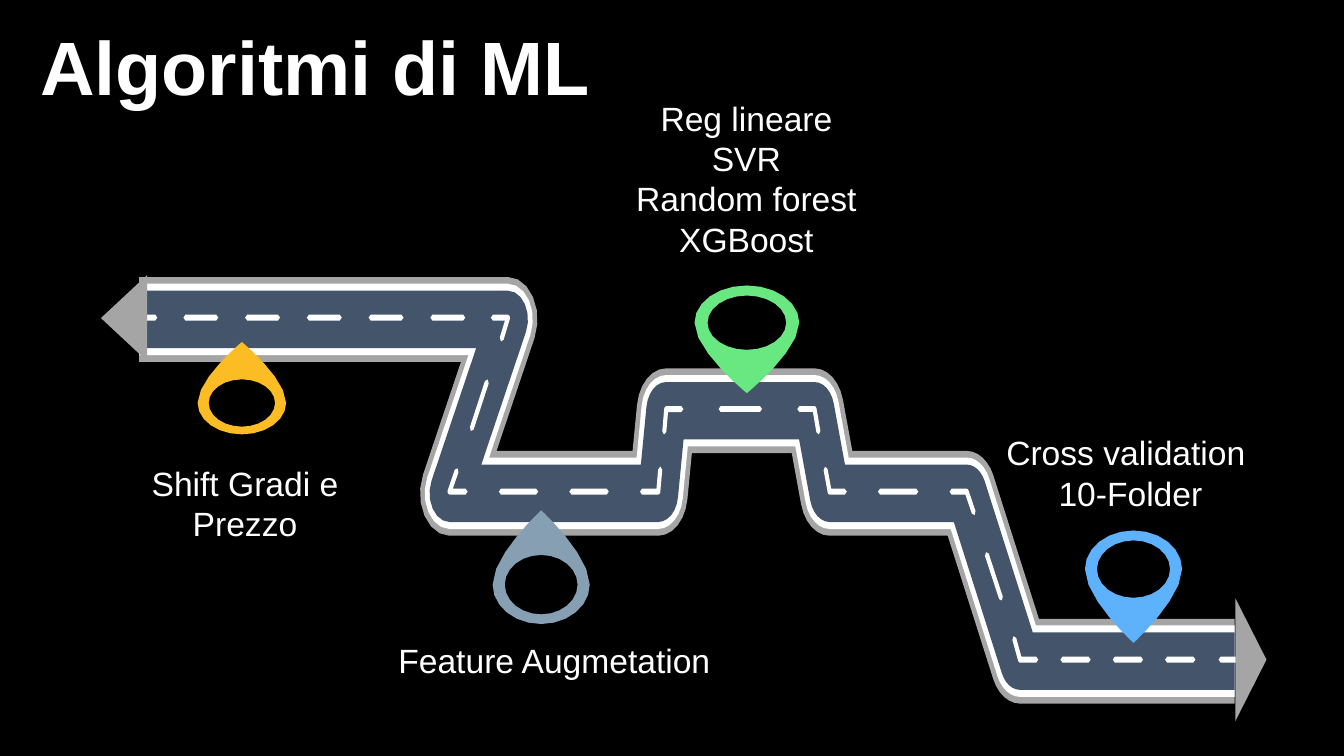
from math import atan2, cos, pi, sin

from pptx import Presentation
from pptx.dml.color import RGBColor
from pptx.enum import shapes, text
from pptx.util import Pt

# Colours and font
BLACK = RGBColor(0, 0, 0)
WHITE = RGBColor(255, 255, 255)
KERB = RGBColor(0xA5, 0xA5, 0xA5)
ASPHALT = RGBColor(0x44, 0x54, 0x6A)
GREEN = RGBColor(0x69, 0xE7, 0x81)
BLUE = RGBColor(0x5E, 0xB2, 0xFC)
AMBER = RGBColor(0xFC, 0xBD, 0x24)
STEEL = RGBColor(0x86, 0x9F, 0xB2)
FONT = "Arial"

# Labels: lines, (left, top, width, height), format
LABELS = [
    (["Algoritmi di ML"], (21.6, 10.8, 437, 72.7),
     dict(size=54, bold=True, align=text.PP_ALIGN.LEFT)),
    (["Shift Gradi e Prezzo"], (67.7, 326.9, 214.6, 36), {}),
    (["Feature Augmetation"], (266.4, 453.6, 259.2, 36), {}),
    (["Reg lineare", "SVR", "Random forest", "XGBoost"],
     (443.5, 66.2, 179.3, 123.8), {}),
    (["Cross validation ", "10-Folder"], (709.2, 305.3, 196.6, 65.5), {}),
]

# Road centre line and its bands (half width, colour), widest first
ROAD = [(99.4, 228.2), (362.9, 228.2), (321.1, 352.4), (470.2, 352.4),
        (475.9, 293.4), (581.8, 293.4), (592.6, 352.4), (690.5, 352.4),
        (728.6, 472.3), (882, 472.3)]
BANDS = [(30.3, KERB), (25.5, WHITE), (20.5, ASPHALT)]
PEN_RATIO = 0.695  # the road is narrower across than it is high

# Lane marks: rows (first x, y, length, step, count) and bent or slanted marks
MARK_HALF = 2.1
MARK_ROWS = [
    (99.4, 226.9, 11.5, 0, 1), (132.5, 226.9, 22, 44.1, 5),
    (357.8, 351.2, 25.2, 50.4, 2), (514.8, 292.2, 28.1, 0, 1),
    (628.6, 351.2, 25.9, 0, 1), (758.9, 471.2, 18.7, 37.4, 3),
    (871.9, 471.2, 10.8, 0, 1),
]
MARK_BENDS = [
    [(352.1, 226.9), (362.9, 226.9), (358.4, 241.9)],
    [(347.8, 273), (337, 306)],
    [(326.2, 336.4), (321.1, 351.2), (332.6, 351.2)],
    [(458.6, 351.2), (470.2, 351.2), (471.6, 335.4)],
    [(474.5, 308.3), (475.9, 292.2), (486.7, 292.2)],
    [(571, 292.2), (581.8, 292.2), (584.6, 308.3)],
    [(589.7, 335.4), (592.6, 351.2), (603.4, 351.2)],
    [(679.7, 351.2), (690.5, 351.2), (695.5, 366)],
    [(704.9, 396.3), (715, 427)],
    [(724.5, 456.4), (728.6, 471.2), (740.2, 471.2)],
]

# Road ends: centre x, centre y, width, height, rotation
ARROWS = [(88.6, 227.2, 61.5, 33, 270), (893.5, 471.2, 88, 22.3, 90)]

# Pins: x, head y, tip y, head radii, hole radii, colour
PINS = [
    (533.5, 230.5, 280.8, (37.4, 26.6), (28.1, 19.4), GREEN),
    (809.7, 406.5, 459.2, (34.7, 27.6), (26.1, 20.5), BLUE),
    (172.8, 287.9, 244.3, (31.6, 22.4), (23.7, 16.9), AMBER),
    (386.6, 417.6, 364.5, (34.7, 28.1), (26, 21.2), STEEL),
]

# Straight pieces per curve
ROAD_STEPS, MARK_STEPS, HALF_TURN_STEPS, SIDE_STEPS = 6, 2, 12, 6

prs = Presentation()
prs.slide_width, prs.slide_height = Pt(960), Pt(540)
s = prs.slides.add_slide(prs.slide_layouts[6])
s.background.fill.solid()
s.background.fill.fore_color.rgb = BLACK


def paint(sp, color):
    sp.shadow.inherit = False
    sp.fill.solid()
    sp.fill.fore_color.rgb = color
    sp.line.fill.background()


def add_outline(contours, color):
    """Draw closed contours, given in points, as one filled shape."""
    grid = [[(x * 100, y * 100) for x, y in c] for c in contours]
    fb = s.shapes.build_freeform(*grid[0][0], scale=Pt(0.01))
    for i, contour in enumerate(grid):
        if i:
            fb.move_to(*contour[0])
        fb.add_line_segments(contour[1:], close=True)
    paint(fb.convert_to_shape(), color)


def stroke(line, half, steps, round_ends=True):
    """Outline of a line drawn with an elliptical pen: round outside, sharp inside."""
    walk = [(x / PEN_RATIO, y) for x, y in line]
    walk += walk[-2:0:-1]
    outline = []
    for i, (x, y) in enumerate(walk):
        px, py = walk[i - 1]
        nx, ny = walk[(i + 1) % len(walk)]
        heading = atan2(y - py, x - px)
        is_end = (px, py) == (nx, ny)
        turn = pi if is_end else (atan2(ny - y, nx - x) - heading + pi) % (2 * pi) - pi
        if turn > 0:
            n = steps if round_ends or not is_end else 1
            spokes = [(heading + turn * k / n, half) for k in range(n + 1)]
        else:
            spokes = [(heading + turn / 2, half / cos(turn / 2))]
        outline += [((x + r * sin(a)) * PEN_RATIO, y - r * cos(a)) for a, r in spokes]
    return outline


def arc(x, y, rx, ry, count):
    """Points on an ellipse from its left side, a half turn per HALF_TURN_STEPS."""
    angles = [pi * k / HALF_TURN_STEPS for k in range(count)]
    return [(x - rx * cos(a), y - ry * sin(a)) for a in angles]


def add_pin(x, head, tip, radii, hole, color):
    rx, ry = radii
    dome = arc(x, head, rx, ry if tip > head else -ry, HALF_TURN_STEPS + 1)
    # Cubic side whose second control point is the tip
    side = []
    for k in range(1, SIDE_STEPS + 1):
        t = k / SIDE_STEPS
        pull = 3 * t * (1 - t) ** 2
        out = (1 - t) ** 3 + pull
        side.append((rx * out, head + (tip - head) * (1 - out + 0.4 * pull)))
    right = [(x + dx, y) for dx, y in side]
    left = [(x - dx, y) for dx, y in side[-2::-1]]
    add_outline([dome + right + left, arc(x, head, *hole, 2 * HALF_TURN_STEPS)], color)


def add_text(lines, box, size=24, bold=False, align=text.PP_ALIGN.CENTER):
    tf = s.shapes.add_textbox(*map(Pt, box)).text_frame
    tf.word_wrap = True
    tf.auto_size = text.MSO_AUTO_SIZE.SHAPE_TO_FIT_TEXT
    for i, line in enumerate(lines):
        p = tf.add_paragraph() if i else tf.paragraphs[0]
        p.alignment = align
        r = p.add_run()
        r.text = line
        r.font.name, r.font.size, r.font.bold = FONT, Pt(size), bold
        r.font.color.rgb = WHITE


# Road
for half, color in BANDS:
    add_outline([stroke(ROAD, half, ROAD_STEPS, round_ends=False)], color)

# Lane marks
rows = [[[(x0 + step * i, y), (x0 + step * i + length, y)] for i in range(count)]
        for x0, y, length, step, count in MARK_ROWS]
for marks in rows + [[bend] for bend in MARK_BENDS]:
    add_outline([stroke(mark, MARK_HALF, MARK_STEPS) for mark in marks], WHITE)

# Arrowheads at the road ends
for cx, cy, w, h, rotation in ARROWS:
    sp = s.shapes.add_shape(shapes.MSO_SHAPE.ISOSCELES_TRIANGLE,
                            Pt(cx - w / 2), Pt(cy - h / 2), Pt(w), Pt(h))
    sp.rotation = rotation
    paint(sp, KERB)

# Pins and labels
for pin in PINS:
    add_pin(*pin)
for lines, box, style in LABELS:
    add_text(lines, box, **style)

prs.save("out.pptx")
